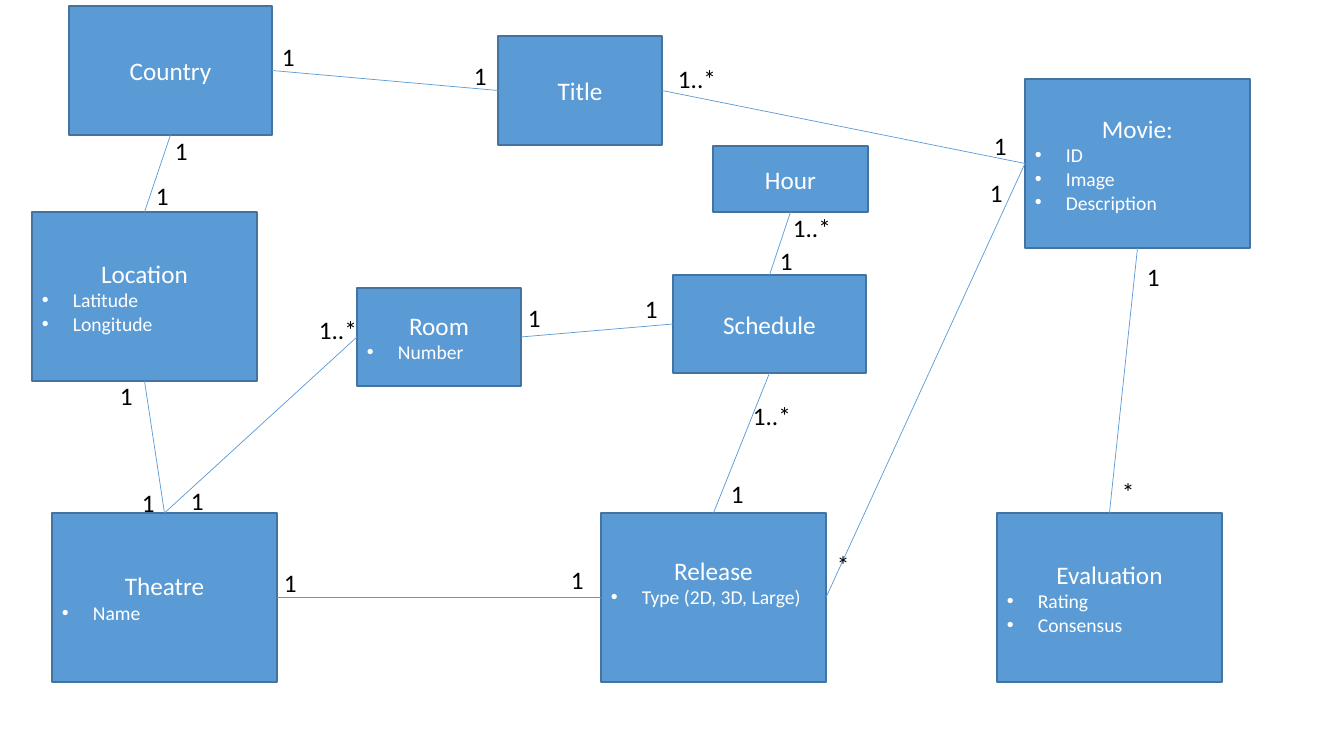
from dataclasses import dataclass

from lxml.etree import SubElement
from pptx import Presentation
from pptx.dml.color import RGBColor
from pptx.enum.shapes import MSO_CONNECTOR as Connector, MSO_SHAPE as Shape
from pptx.enum.text import MSO_ANCHOR as Anchor, MSO_AUTO_SIZE as AutoSize, PP_ALIGN as Align
from pptx.oxml.ns import qn
from pptx.util import Emu, Pt


@dataclass(frozen=True)
class Theme:
    font: str = "Calibri"
    heading: Pt = Pt(18)
    attribute: Pt = Pt(14)
    box_line: Pt = Pt(1)
    link_line: Pt = Pt(0.5)
    blue: RGBColor = RGBColor(0x5B, 0x9B, 0xD5)
    border: RGBColor = RGBColor(0x43, 0x73, 0x9E)
    white: RGBColor = RGBColor(0xFF, 0xFF, 0xFF)
    black: RGBColor = RGBColor(0, 0, 0)


THEME = Theme()
EMU_PER_PIXEL = 914400 / 100.8
BULLET_INDENT = 31
TOP, LEFT, BOTTOM, RIGHT = range(4)  # connection sites of a rectangle

# Entity: left, top, width, height, attributes
ENTITIES = {
    "Country": (69, 6, 203, 129, []),
    "Title": (498, 36, 164, 109, []),
    "Movie:": (1025, 79, 225, 169, ["ID", "Image", "Description"]),
    "Hour": (713, 146, 155, 66, []),
    "Location": (32, 212, 225, 169, ["Latitude", "Longitude"]),
    "Room": (357, 288, 164, 98, ["Number"]),
    "Schedule": (673, 275, 193, 98, []),
    "Theatre": (52, 513, 225, 169, ["Name"]),
    "Release": (601, 513, 225, 169, ["Type (2D, 3D, Large)"]),
    "Evaluation": (997, 513, 225, 169, ["Rating", "Consensus"]),
}
RAISED_ENTITY, RAISED_MARGIN = "Release", 36  # its text sits above the middle

# Relation: entity and side at each end
RELATIONS = [
    ("Country", RIGHT, "Title", LEFT),
    ("Title", RIGHT, "Movie:", LEFT),
    ("Location", TOP, "Country", BOTTOM),
    ("Location", BOTTOM, "Theatre", TOP),
    ("Theatre", TOP, "Room", LEFT),
    ("Theatre", RIGHT, "Release", LEFT),
    ("Room", RIGHT, "Schedule", LEFT),
    ("Hour", BOTTOM, "Schedule", TOP),
    ("Release", TOP, "Schedule", BOTTOM),
    ("Movie:", LEFT, "Release", RIGHT),
    ("Movie:", BOTTOM, "Evaluation", TOP),
]

# Multiplicity: width of its label and the left, top of each place
LABEL_HEIGHT = 40
MULTIPLICITIES = {
    "1": (45, [
        (272, 36), (464, 55), (165, 130), (146, 175), (110, 375), (132, 482),
        (181, 480), (518, 297), (635, 288), (561, 559), (274, 562), (721, 473),
        (980, 172), (984, 125), (1137, 256), (770, 240),
    ]),
    "1..*": (87, [(668, 58), (309, 309), (743, 395), (783, 207)]),
    "*": (45, [(1112, 471), (827, 544)]),
}


def px(length):
    return Emu(round(length * EMU_PER_PIXEL))


def style_text(para, size, color):
    para.font.name = THEME.font
    para.font.size = size
    para.font.color.rgb = color


def add_bullet(para):
    properties = para._p.get_or_add_pPr()
    properties.set("marL", str(px(BULLET_INDENT)))
    properties.set("indent", str(-px(BULLET_INDENT)))
    SubElement(properties, qn("a:buFont")).set("typeface", "Arial")
    SubElement(properties, qn("a:buChar")).set("char", "•")


def add_entity(page, name, left, top, width, height, attributes):
    box = page.shapes.add_shape(Shape.RECTANGLE, px(left), px(top), px(width), px(height))
    box.shadow.inherit = False
    box.fill.solid()
    box.fill.fore_color.rgb = THEME.blue
    box.line.color.rgb = THEME.border
    box.line.width = THEME.box_line

    frame = box.text_frame
    frame.vertical_anchor = Anchor.MIDDLE
    heading = frame.paragraphs[0]
    heading.text = name
    heading.alignment = Align.CENTER
    style_text(heading, THEME.heading, THEME.white)
    for attribute in attributes:
        para = frame.add_paragraph()
        para.text = attribute
        para.alignment = Align.LEFT
        add_bullet(para)
        style_text(para, THEME.attribute, THEME.white)
    return box


def add_relation(page, start, start_side, end, end_side):
    line = page.shapes.add_connector(Connector.STRAIGHT, 0, 0, 0, 0)
    line.begin_connect(start, start_side)
    line.end_connect(end, end_side)
    line.line.color.rgb = THEME.blue
    line.line.width = THEME.link_line
    SubElement(line._element.spPr, qn("a:effectLst"))


def add_multiplicity(page, text, left, top, width):
    label = page.shapes.add_textbox(px(left), px(top), px(width), px(LABEL_HEIGHT))
    frame = label.text_frame
    frame.word_wrap = True
    frame.auto_size = AutoSize.SHAPE_TO_FIT_TEXT
    para = frame.paragraphs[0]
    para.text = text
    style_text(para, THEME.heading, THEME.black)


def main():
    deck = Presentation()
    deck.slide_width, deck.slide_height = px(1344), px(756)
    page = deck.slides.add_slide(deck.slide_layouts[6])

    # Entities
    boxes = {name: add_entity(page, name, *entity) for name, entity in ENTITIES.items()}
    boxes[RAISED_ENTITY].text_frame.margin_bottom = px(RAISED_MARGIN)

    # Relations
    for start, start_side, end, end_side in RELATIONS:
        add_relation(page, boxes[start], start_side, boxes[end], end_side)

    # Multiplicities
    for text, (width, places) in MULTIPLICITIES.items():
        for left, top in places:
            add_multiplicity(page, text, left, top, width)

    deck.save("out.pptx")


main()
